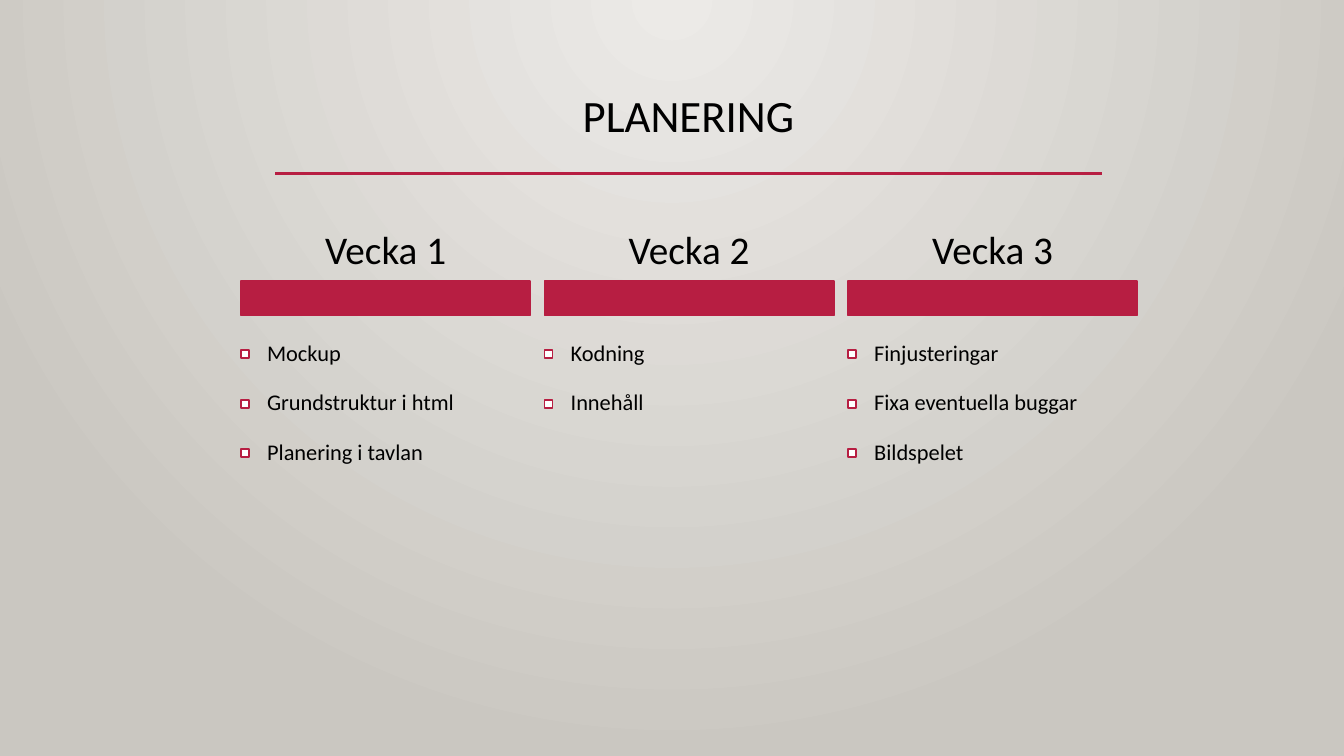
import dataclasses

import lxml.etree
import pptx
import pptx.dml.color
import pptx.enum.shapes
import pptx.enum.text
import pptx.oxml.ns
import pptx.util

Inches = pptx.util.Inches
qn = pptx.oxml.ns.qn


@dataclasses.dataclass(frozen=True)
class Theme:
    font: str = "Calibri"
    text: str = "000000"
    accent: str = "B71E42"
    marker: str = "FFFFFF"
    background_center: str = "ECEAE7"
    background_edge: str = "CAC7C1"
    title_size: int = 32
    heading_size: int = 28
    item_size: int = 16
    rule_width: float = 2.25
    outline_width: float = 1.25


THEME = Theme()
TITLE = "PLANERING"
WEEKS = {
    "Vecka 1": ["Mockup", "Grundstruktur i html", "Planering i tavlan"],
    "Vecka 2": ["Kodning", "Innehåll"],
    "Vecka 3": ["Finjusteringar", "Fixa eventuella buggar", "Bildspelet"],
}


def rgb(value):
    return pptx.dml.color.RGBColor.from_string(value)


def add_text(slide, box, text, size, align, anchor, margins):
    shape = slide.shapes.add_textbox(*map(Inches, box))
    frame = shape.text_frame
    frame.word_wrap = True
    frame.vertical_anchor = anchor
    frame.margin_left = frame.margin_right = Inches(margins[0])
    frame.margin_top = frame.margin_bottom = Inches(margins[1])
    paragraph = frame.paragraphs[0]
    paragraph.text = text
    paragraph.alignment = align
    paragraph.line_spacing = 0.9
    paragraph.font.name = THEME.font
    paragraph.font.size = pptx.util.Pt(size)
    paragraph.font.color.rgb = rgb(THEME.text)


def add_rectangle(slide, box, fill):
    shape = slide.shapes.add_shape(
        pptx.enum.shapes.MSO_SHAPE.RECTANGLE, *map(Inches, box))
    shape.shadow.inherit = False
    shape.fill.solid()
    shape.fill.fore_color.rgb = rgb(fill)
    shape.line.color.rgb = rgb(THEME.accent)
    shape.line.width = pptx.util.Pt(THEME.outline_width)


def paint_background(slide):
    fill = slide.background.fill
    fill.gradient()
    colors = (THEME.background_center, THEME.background_edge)
    for stop, color in zip(fill.gradient_stops, colors):
        stop.color.rgb = rgb(color)
    # Turn the linear gradient into a circle centred on the top edge
    gradient = slide.background._cSld.find(".//" + qn("a:gradFill"))
    gradient.remove(gradient.find(qn("a:lin")))
    circle = lxml.etree.SubElement(gradient, qn("a:path"), {"path": "circle"})
    lxml.etree.SubElement(circle, qn("a:fillToRect"),
                          {"l": "43000", "t": "0", "r": "43000", "b": "100000"})


def add_title(slide, left, top, width, height):
    add_text(slide, (left, top, width, height), TITLE, THEME.title_size,
             pptx.enum.text.PP_ALIGN.CENTER, pptx.enum.text.MSO_ANCHOR.TOP,
             (0.1, 0.05))
    # Rule under the title
    inset, rule_top = 1.15, top + 0.84
    rule = slide.shapes.add_connector(
        pptx.enum.shapes.MSO_CONNECTOR.STRAIGHT,
        Inches(left + inset), Inches(rule_top),
        Inches(left + width - inset), Inches(rule_top))
    rule.line.color.rgb = rgb(THEME.accent)
    rule.line.width = pptx.util.Pt(THEME.rule_width)
    lxml.etree.SubElement(rule._element.spPr, qn("a:effectLst"))


def add_week(slide, left, top, width, heading, items):
    middle = pptx.enum.text.MSO_ANCHOR.MIDDLE
    # Heading and bar
    add_text(slide, (left, top, width, 0.61), heading, THEME.heading_size,
             pptx.enum.text.PP_ALIGN.CENTER, middle, (0.06, 0.04))
    add_rectangle(slide, (left, top + 0.6, width, 0.34), THEME.accent)
    # Items with square markers
    row_height, marker, indent = 0.49, 0.08, 0.14
    for index, item in enumerate(items):
        row_top = top + 1.08 + index * row_height
        marker_top = row_top + (row_height - marker) / 2
        add_rectangle(slide, (left, marker_top, marker, marker), THEME.marker)
        add_text(slide, (left + indent, row_top, width - 0.2, row_height), item,
                 THEME.item_size, pptx.enum.text.PP_ALIGN.LEFT, middle,
                 (0.12, 0.12))


def add_schedule(slide, left, top, width):
    gap = 0.14
    column_width = (width - gap * (len(WEEKS) - 1)) / len(WEEKS)
    for index, (heading, items) in enumerate(WEEKS.items()):
        add_week(slide, left + index * (column_width + gap), top,
                 column_width, heading, items)


def main():
    presentation = pptx.Presentation()
    presentation.slide_width = Inches(13.33)
    presentation.slide_height = Inches(7.5)
    slide = presentation.slides.add_slide(presentation.slide_layouts[6])
    paint_background(slide)
    add_title(slide, 1.58, 0.88, 10.5, 1.16)
    add_schedule(slide, 2.39, 2.19, 8.89)
    presentation.save("out.pptx")


if __name__ == "__main__":
    main()
